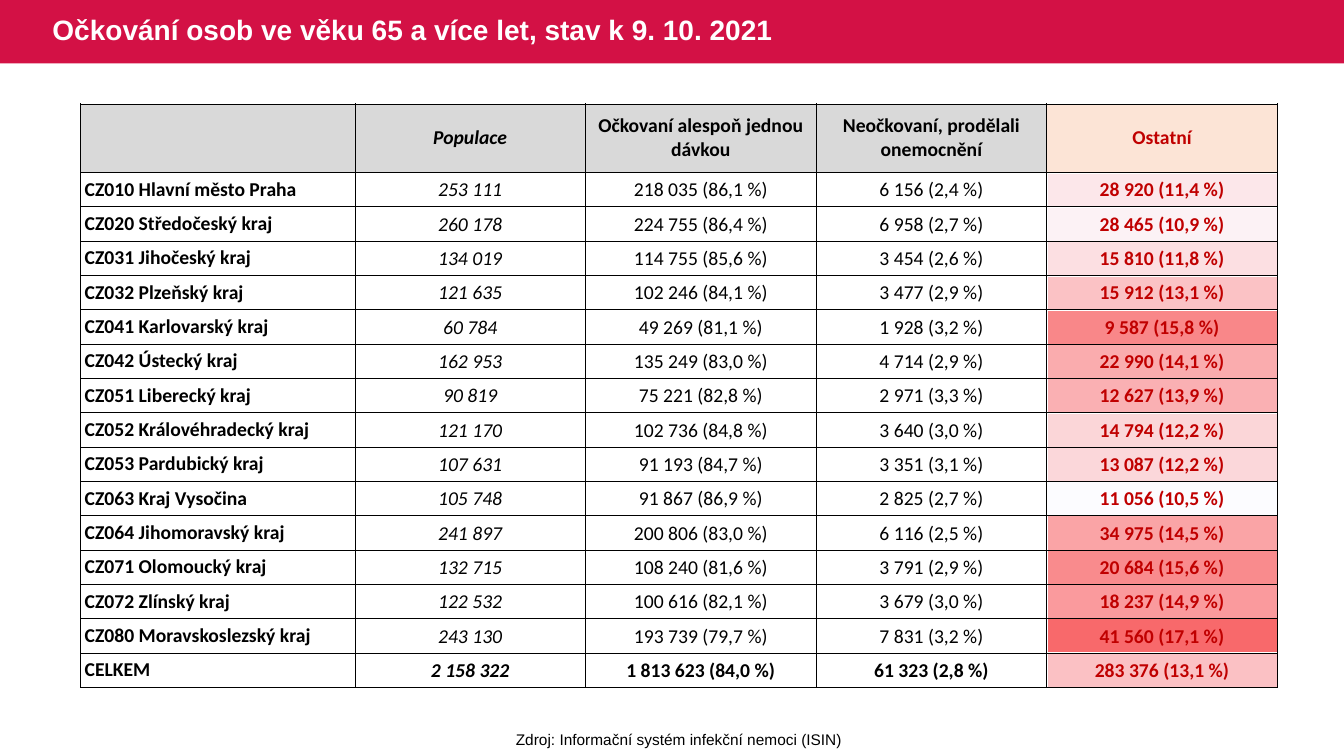
import math
from dataclasses import dataclass

from lxml import etree
from pptx import Presentation
from pptx import util as u
from pptx.dml.color import RGBColor
from pptx.enum import shapes, text
from pptx.oxml.ns import qn


@dataclass(frozen=True)
class Theme:
    band: str = "D31145"
    white: str = "FFFFFF"
    black: str = "000000"
    alert: str = "C00000"
    header: str = "D9D9D9"
    alert_header: str = "FCE4D6"
    scale_low: str = "FCFCFF"
    scale_high: str = "F8696B"
    heading_font: str = "Arial"
    table_font: str = "Calibri"
    title_size: int = 20
    table_size: int = 14
    source_size: int = 11
    border: float = 0.5


HEADERS = ["", "Populace", "Očkovaní alespoň jednou dávkou",
           "Neočkovaní, prodělali onemocnění", "Ostatní"]
REGIONS = [
    ["CZ010 Hlavní město Praha", "253 111", "218 035 (86,1 %)", "6 156 (2,4 %)", "28 920 (11,4 %)"],
    ["CZ020 Středočeský kraj", "260 178", "224 755 (86,4 %)", "6 958 (2,7 %)", "28 465 (10,9 %)"],
    ["CZ031 Jihočeský kraj", "134 019", "114 755 (85,6 %)", "3 454 (2,6 %)", "15 810 (11,8 %)"],
    ["CZ032 Plzeňský kraj", "121 635", "102 246 (84,1 %)", "3 477 (2,9 %)", "15 912 (13,1 %)"],
    ["CZ041 Karlovarský kraj", "60 784", "49 269 (81,1 %)", "1 928 (3,2 %)", "9 587 (15,8 %)"],
    ["CZ042 Ústecký kraj", "162 953", "135 249 (83,0 %)", "4 714 (2,9 %)", "22 990 (14,1 %)"],
    ["CZ051 Liberecký kraj", "90 819", "75 221 (82,8 %)", "2 971 (3,3 %)", "12 627 (13,9 %)"],
    ["CZ052 Královéhradecký kraj", "121 170", "102 736 (84,8 %)", "3 640 (3,0 %)", "14 794 (12,2 %)"],
    ["CZ053 Pardubický kraj", "107 631", "91 193 (84,7 %)", "3 351 (3,1 %)", "13 087 (12,2 %)"],
    ["CZ063 Kraj Vysočina", "105 748", "91 867 (86,9 %)", "2 825 (2,7 %)", "11 056 (10,5 %)"],
    ["CZ064 Jihomoravský kraj", "241 897", "200 806 (83,0 %)", "6 116 (2,5 %)", "34 975 (14,5 %)"],
    ["CZ071 Olomoucký kraj", "132 715", "108 240 (81,6 %)", "3 791 (2,9 %)", "20 684 (15,6 %)"],
    ["CZ072 Zlínský kraj", "122 532", "100 616 (82,1 %)", "3 679 (3,0 %)", "18 237 (14,9 %)"],
    ["CZ080 Moravskoslezský kraj", "243 130", "193 739 (79,7 %)", "7 831 (3,2 %)", "41 560 (17,1 %)"],
    ["CELKEM", "2 158 322", "1 813 623 (84,0 %)", "61 323 (2,8 %)", "283 376 (13,1 %)"],
]


def count(value):
    return int(value.split(" (")[0].replace(" ", ""))


def scale_colors(rows, low, high):
    shares = [count(row[-1]) / count(row[1]) for row in rows]
    least, most = min(shares), max(shares)
    ends = list(zip(RGBColor.from_string(low), RGBColor.from_string(high)))
    return [str(RGBColor(*(math.ceil(a + (b - a) * (share - least) / (most - least))
                           for a, b in ends)))
            for share in shares]


def paint(fill, color=None):
    if color:
        fill.solid()
        fill.fore_color.rgb = RGBColor.from_string(color)
    else:
        fill.background()


def write(tf, content, font, size, color, bold=False, italic=False,
          align=text.PP_ALIGN.LEFT, spacing=None):
    p = tf.paragraphs[0]
    p.alignment = align
    if spacing:
        p.line_spacing = spacing
    r = p.add_run()
    r.text = content
    r.font.name = font
    r.font.size = u.Pt(size)
    r.font.bold = bold
    r.font.italic = italic
    r.font.color.rgb = RGBColor.from_string(color)


class SlideBuilder:
    def __init__(self, prs, theme):
        self.theme = theme
        self.s = prs.slides.add_slide(prs.slide_layouts[5])

    def put_under_title(self, sp):
        self.s.shapes.title.element.addprevious(sp.element)

    def band(self, width, height):
        sp = self.s.shapes.add_shape(shapes.MSO_SHAPE.RECTANGLE, 0, 0, width, height)
        sp.shadow.inherit = False
        paint(sp.fill, self.theme.band)
        sp.line.fill.background()
        self.put_under_title(sp)

    def title(self, content, left, top, width, height):
        sp = self.s.shapes.title
        sp.left, sp.top, sp.width, sp.height = left, top, width, height
        tf = sp.text_frame
        tf.word_wrap = True
        tf.auto_size = text.MSO_AUTO_SIZE.NONE
        tf.vertical_anchor = text.MSO_ANCHOR.MIDDLE
        write(tf, content, self.theme.heading_font, self.theme.title_size,
              self.theme.white, bold=True, spacing=0.9)

    def source(self, content, left, top, width, height):
        tf = self.s.shapes.add_textbox(left, top, width, height).text_frame
        tf.word_wrap = False
        tf.auto_size = text.MSO_AUTO_SIZE.SHAPE_TO_FIT_TEXT
        write(tf, content, self.theme.heading_font, self.theme.source_size,
              self.theme.black, align=text.PP_ALIGN.CENTER)

    def grid(self, rows, columns, left, top, width, height):
        frame = self.s.shapes.add_table(rows, columns, left, top, width, height)
        frame.table.first_row = frame.table.horz_banding = False
        return frame

    def borders(self, cell):
        tc_pr = cell._tc.get_or_add_tcPr()
        for side in ("a:lnL", "a:lnR", "a:lnT", "a:lnB"):
            ln = etree.SubElement(tc_pr, qn(side), w=str(u.Pt(self.theme.border)))
            fill = etree.SubElement(ln, qn("a:solidFill"))
            etree.SubElement(fill, qn("a:srgbClr"), val=self.theme.black)

    def cell(self, cell, content, fill=None, inset=0.01, **style):
        self.borders(cell)
        paint(cell.fill, fill)
        cell.vertical_anchor = text.MSO_ANCHOR.MIDDLE
        cell.margin_left = cell.margin_right = u.Inches(inset)
        cell.margin_top = u.Inches(0.01 if inset == 0.01 else 0)
        cell.margin_bottom = 0
        if content:
            write(cell.text_frame, content, self.theme.table_font,
                  self.theme.table_size, **style)

    def heat_column(self, rows, left, top, width, height):
        frame = self.grid(len(rows), 1, left, top, width, height)
        colors = scale_colors(rows, self.theme.scale_low, self.theme.scale_high)
        for cell, color in zip(frame.table.iter_cells(), colors):
            paint(cell.fill, color)
            cell.margin_top = cell.margin_bottom = 0
        self.put_under_title(frame)

    def table(self, headers, rows, left, top, width, height, label_width, header_height):
        t = self.theme
        last = len(headers) - 1
        table = self.grid(len(rows) + 1, len(headers), left, top, width, height).table
        for i, column in enumerate(table.columns):
            column.width = label_width if i == 0 else (width - label_width) // last
        for i, row in enumerate(table.rows):
            row.height = header_height if i == 0 else (height - header_height) // len(rows)

        for i, values in enumerate([headers] + rows):
            is_header, is_total = i == 0, i == len(rows)
            for j, value in enumerate(values):
                is_label, is_other = j == 0, j == last
                header_fill = t.alert_header if is_other else t.header
                self.cell(table.cell(i, j), value, header_fill if is_header else None,
                          inset=0.04 if is_header or is_label else 0.01,
                          color=t.alert if is_other else t.black,
                          bold=is_header or is_total or is_label or is_other,
                          italic=j == 1,
                          align=text.PP_ALIGN.LEFT if is_label else text.PP_ALIGN.CENTER)


def main():
    prs = Presentation()
    prs.slide_width, prs.slide_height = u.Inches(13.33), u.Inches(7.5)
    slide = SlideBuilder(prs, Theme())
    band_height = u.Inches(0.63)
    slide.band(prs.slide_width, band_height)
    slide.heat_column(REGIONS, u.Inches(10.39), u.Inches(1.72),
                      u.Inches(2.28), u.Inches(5.1))
    slide.title("Očkování osob ve věku 65 a více let, stav k 9. 10. 2021",
                u.Inches(0.42), 0, u.Inches(8.28), band_height)
    slide.table(HEADERS, REGIONS, u.Inches(0.8), u.Inches(1.03),
                u.Inches(11.87), u.Inches(5.79),
                label_width=u.Inches(2.72), header_height=u.Inches(0.68))
    slide.source("Zdroj: Informační systém infekční nemoci (ISIN)",
                 u.Inches(5.01), u.Inches(7.19), u.Inches(3.45), u.Inches(0.29))
    prs.save("out.pptx")


if __name__ == "__main__":
    main()
